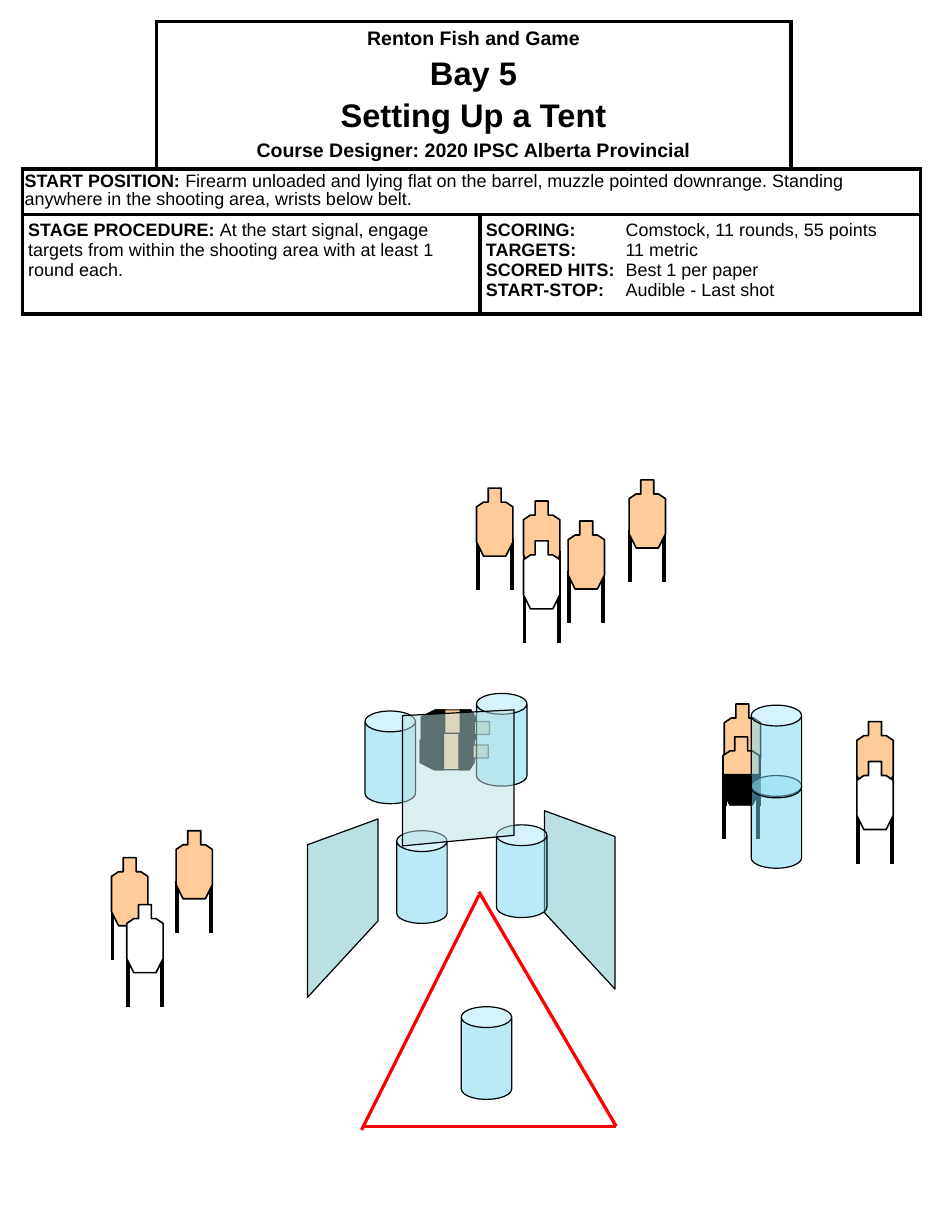
from lxml import etree
from pptx import Presentation
from pptx.dml.color import RGBColor
from pptx.enum.shapes import MSO_CONNECTOR, MSO_SHAPE
from pptx.enum.text import MSO_ANCHOR, PP_ALIGN
from pptx.oxml.ns import qn
from pptx.util import Pt

PX = 9144  # 100 px to the inch
STRAIGHT = MSO_CONNECTOR.STRAIGHT
CAN = MSO_SHAPE.CAN
CENTER = PP_ALIGN.CENTER
MIDDLE = MSO_ANCHOR.MIDDLE
FONT = "Arial"
INK = {"black": "000000", "white": "FFFFFF", "tan": "FFCC99",
       "red": "FF0000", "barrel": "73D9F1", "wall": "BBE0E3"}

BODY = [(10, 0), (21, 0), (21, 12), (25, 12), (31, 16), (31, 46),
        (25, 58), (6, 58), (0, 46), (0, 16), (6, 12), (10, 12)]
CHEST = [(6, 13), (25, 13), (31, 16), (31, 25), (0, 25), (0, 16)]
WALL = [(60, 87), (0, 152), (0, 22), (60, 0)]
SCREEN = [(0, 5), (95, 0), (95, 107), (0, 116)]


def color(name):
    return RGBColor.from_string(INK[name])


def paint(shape, fill, width=0.75, alpha=None):
    shape.shadow.inherit = False
    shape.fill.solid()
    shape.fill.fore_color.rgb = color(fill)
    shape.line.color.rgb = color("black")
    shape.line.width = Pt(width)
    if alpha:
        tint = shape.fill._xPr.find(qn("a:solidFill"))[0]
        etree.SubElement(tint, qn("a:alpha"), val=str(alpha * 1000))


def outline(shapes, x, y, points, fill, width=0.75, alpha=None):
    first, *rest = [(x + dx, y + dy) for dx, dy in points]
    pen = shapes.build_freeform(*first, scale=PX)
    pen.add_line_segments(rest, close=True)
    paint(pen.convert_to_shape(), fill, width, alpha)


def rule(shapes, start, end, ink, width):
    ends = [n * PX for n in (*start, *end)]
    line = shapes.add_connector(STRAIGHT, *ends)
    line.line.color.rgb = color(ink)
    line.line.width = Pt(width)
    etree.SubElement(line._element.spPr, qn("a:effectLst"))


def belly(top):
    """Lower part of a target body, from the given height down."""
    return [(0, top), (31, top), (31, 46), (25, 58), (6, 58), (0, 46)]


def target(shapes, x, y, fill="tan", hard=None):
    """Standing target; hard is the height where its black part starts."""
    group = shapes.add_group_shape().shapes
    for leg in (x + 1, x + 30):
        rule(group, (leg, y + 43), (leg, y + 87), "black", 2.25)
    outline(group, x, y, BODY, fill, 1)
    if hard:
        outline(group, x, y, belly(hard), "black")


def lying(shapes, x, y):
    """Target turned a quarter to the right, with two black parts."""
    group = shapes.add_group_shape().shapes
    for part, fill in ((BODY, "tan"), (CHEST, "black"), (belly(38), "black")):
        outline(group, x, y, [(58 - v, u) for u, v in part], fill)


def barrel(shapes, x, y):
    can = shapes.add_shape(CAN, x * PX, y * PX, 43 * PX, 79 * PX)
    can.adjustments[0] = 0.413
    paint(can, "barrel", alpha=50)


def area(shapes, x, y):
    """Red shooting area."""
    group = shapes.add_group_shape().shapes
    for start, end in (((100, 0), (217, 200)), ((217, 200), (0, 200)),
                       ((100, 3), (0, 203))):
        rule(group, (x + start[0], y + start[1]), (x + end[0], y + end[1]),
             "red", 2)


def border(cell, sides):
    props = cell._tc.get_or_add_tcPr()
    for i, side in enumerate("LRTB"):
        edge = etree.Element(qn("a:ln" + side), w=str(Pt(2.25)))
        if side in sides:
            fill = etree.SubElement(edge, qn("a:solidFill"))
            etree.SubElement(fill, qn("a:srgbClr"), val=INK["black"])
        else:
            etree.SubElement(edge, qn("a:noFill"))
        props.insert(i, edge)


def write(cell, lines, size, inset, tab=None):
    """Fill a cell with (bold label, plain text) lines."""
    cell.margin_left = cell.margin_right = inset[0] * PX
    cell.margin_top = cell.margin_bottom = inset[1] * PX
    frame = cell.text_frame
    for i, (label, text) in enumerate(lines):
        para = frame.add_paragraph() if i else frame.paragraphs[0]
        if tab:
            stops = etree.SubElement(para._p.get_or_add_pPr(), qn("a:tabLst"))
            etree.SubElement(stops, qn("a:tab"), pos=str(tab * PX), algn="l")
        para.font.name = FONT
        para.font.size = Pt(size)
        para.font.color.rgb = color("black")
        for words, bold in ((label, True), (text, False)):
            if words:
                run = para.add_run()
                run.text = words
                run.font.bold = bold
    return frame.paragraphs


def brief(shapes, x, y):
    """Table with the heading, start position, procedure and scoring."""
    cols, rows = (114, 276, 265, 110), (126, 37, 85)
    grid = shapes.add_table(3, 4, x * PX, y * PX,
                            sum(cols) * PX, sum(rows) * PX).table
    grid.first_row = grid.horz_banding = False
    for part, sizes in ((grid.columns, cols), (grid.rows, rows)):
        for item, size in zip(part, sizes):
            if part is grid.columns or len(sizes) == 4:
                item.width = size * PX
            else:
                item.height = size * PX
    for r in range(3):
        for c in range(4):
            cell = grid.cell(r, c)
            cell.fill.solid()
            cell.fill.fore_color.rgb = color("white")
            border(cell, {(0, 0): "RB", (0, 3): "LB"}.get((r, c), "LRTB"))
    for r, left, right in ((0, 1, 2), (1, 0, 3), (2, 0, 1), (2, 2, 3)):
        grid.cell(r, left).merge(grid.cell(r, right))

    head = grid.cell(0, 1)
    head.vertical_anchor = MIDDLE
    titles = ("Renton Fish and Game", "Bay 5", "Setting Up a Tent",
              "Course Designer: 2020 IPSC Alberta Provincial")
    paras = write(head, [(t, "") for t in titles], 12, (5, 5))
    for i, para in enumerate(paras):
        para.alignment = CENTER
        if i:
            para.space_before = Pt(3.6)
        if i in (1, 2):
            para.font.size = Pt(20)

    start = write(grid.cell(1, 0), [(
        "START POSITION: ",
        "Firearm unloaded and lying flat on the barrel, muzzle pointed "
        "downrange. Standing anywhere in the shooting area, wrists below "
        "belt.")], 11, (2, 4))
    start[0].line_spacing = 0.9
    write(grid.cell(2, 0), [(
        "STAGE PROCEDURE: ",
        "At the start signal, engage targets from within the shooting area "
        "with at least 1 round each.")], 11, (5, 5))
    write(grid.cell(2, 2), [
        ("SCORING:", "\tComstock, 11 rounds, 55 points"),
        ("TARGETS:", "\t11 metric"),
        ("SCORED HITS:", "\tBest 1 per paper"),
        ("START-STOP:", "\tAudible - Last shot")], 11, (5, 5), tab=119)


def stage(shapes):
    """Lay out the props from back to front."""
    area(shapes, 308, 760)
    for x, y in ((393, 858), (338, 708)):
        barrel(shapes, x, y)
    target(shapes, 617, 600)
    target(shapes, 616, 628, hard=32)
    for y in (661, 601):
        barrel(shapes, 640, y)
    for x, y, fill in ((730, 615, "tan"), (730, 649, "white"),
                       (95, 731, "tan"), (108, 771, "white"),
                       (150, 708, "tan"), (484, 444, "tan"),
                       (536, 409, "tan"), (406, 416, "tan"),
                       (446, 427, "tan"), (446, 461, "white")):
        target(shapes, x, y, fill)
    outline(shapes, 262, 698, WALL, "wall")
    outline(shapes, 464, 691, [(60 - u, v) for u, v in WALL], "wall")
    for x, y in ((423, 703), (406, 591), (311, 606)):
        barrel(shapes, x, y)
    outline(shapes, 343, 605, SCREEN, "wall", alpha=50)


def main():
    deck = Presentation()
    deck.slide_width, deck.slide_height = 800 * PX, 1050 * PX
    shapes = deck.slides.add_slide(deck.slide_layouts[6]).shapes
    for x, y in ((359, 605), (358, 625)):
        lying(shapes, x, y)
    brief(shapes, 19, 18)
    stage(shapes)
    deck.save("out.pptx")


if __name__ == "__main__":
    main()
